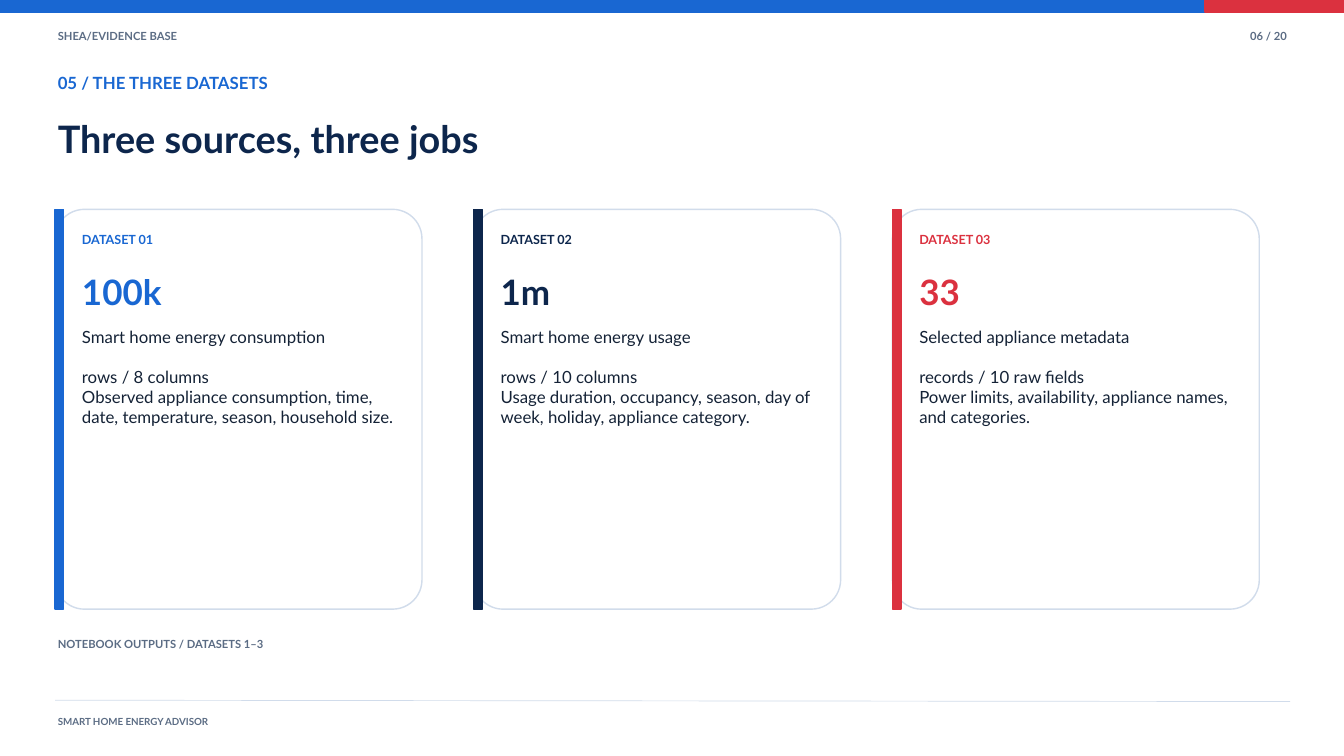
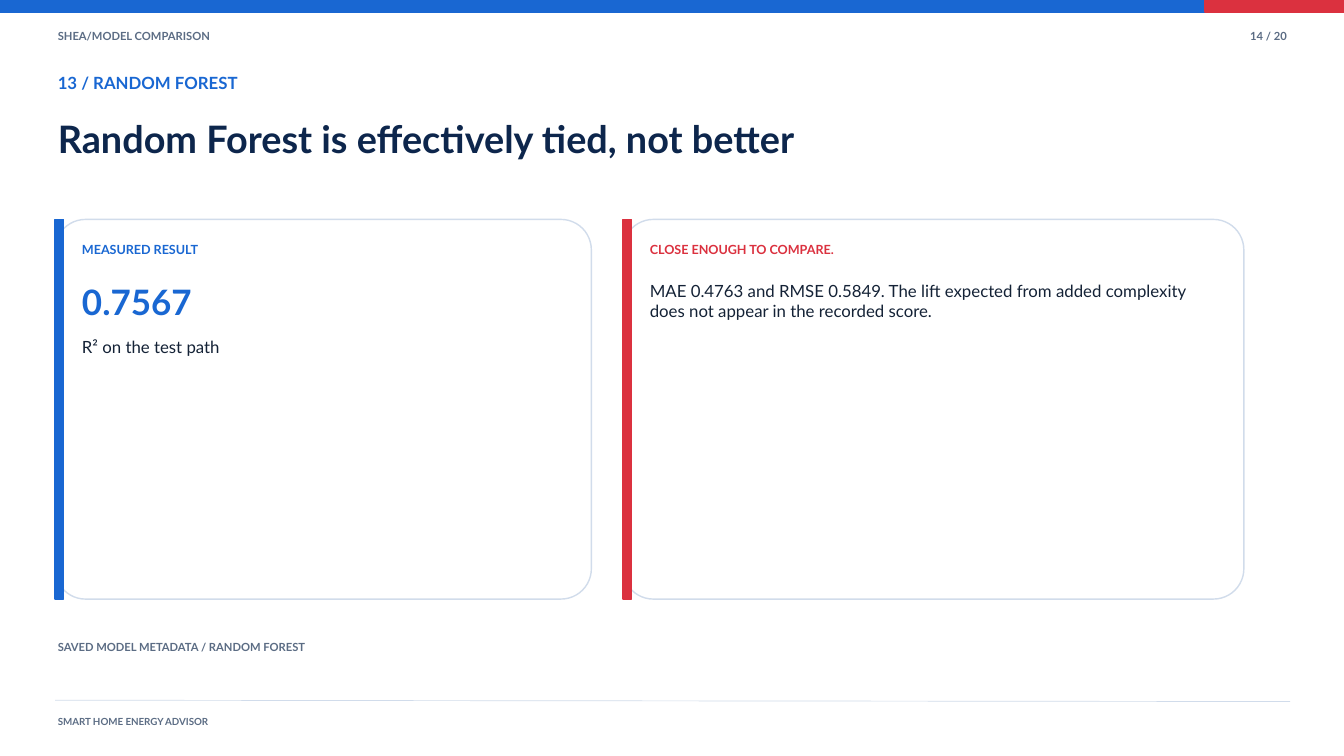
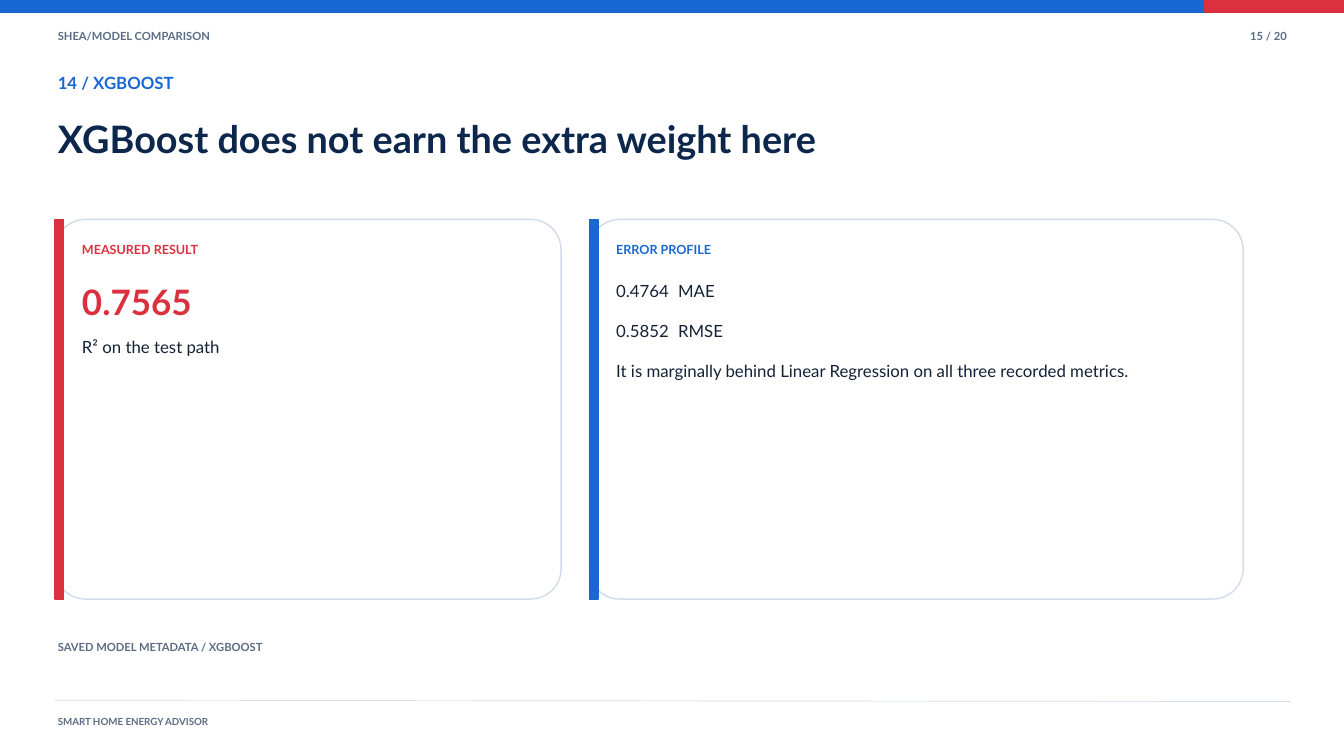
from lxml import etree
from pptx import Presentation
from pptx.dml.color import RGBColor as RGB
from pptx.enum.shapes import MSO_CONNECTOR as CONN, MSO_SHAPE as SHAPE
from pptx.enum.text import MSO_ANCHOR as ANCHOR, MSO_AUTO_SIZE as FIT, PP_ALIGN as ALIGN
from pptx.oxml.ns import qn
from pptx.util import Inches, Pt

FONT = "Lato"
COLORS = {"blue": "1967D2", "red": "DB313F", "navy": "0D264C", "ink": "142236",
          "muted": "5B6C84", "rule": "D1DCEB", "white": "FFFFFF"}
W, H = 20, 11.25
LEFT, TEXT_LEFT = 0.82, 0.86      # edge of cards, edge of text
MIDDLE = 6.09                     # vertical centre of the card row
PAD, STRIPE = 0.4, 0.13           # text inset and accent stripe of a card
TAB = 0.92                        # column of metric names


def write(s, text, x, y, w, h, size, color, bold=True, align=ALIGN.LEFT, gaps=(), sp=None):
    """Set paragraphs, one per line of text; those numbered in gaps have a line of space before."""
    sp = sp or s.shapes.add_textbox(0, 0, 0, 0)
    sp.left, sp.top, sp.width, sp.height = [Inches(v) for v in (x, y, w, h)]
    tf = sp.text_frame
    tf.margin_left = tf.margin_top = tf.margin_right = tf.margin_bottom = 0
    tf.word_wrap, tf.auto_size, tf.vertical_anchor = True, FIT.SHAPE_TO_FIT_TEXT, ANCHOR.TOP
    for i, line in enumerate(text.split("\n")):
        p = tf.add_paragraph() if i else tf.paragraphs[0]
        p.alignment = align
        p.line_spacing = Pt(size * 1.2)
        p.space_before = Pt(size * 1.2 if i in gaps else 0)
        if "\t" in line:
            tabs = etree.SubElement(p._p.get_or_add_pPr(), qn("a:tabLst"))
            etree.SubElement(tabs, qn("a:tab"), pos=str(Inches(TAB)), algn="l")
        r = p.add_run()
        r.text = line
        r.font.name, r.font.size, r.font.bold = FONT, Pt(size), bold
        r.font.color.rgb = RGB.from_string(COLORS[color])


def block(s, kind, x, y, w, h, fill, line):
    sp = s.shapes.add_shape(kind, *[Inches(v) for v in (x, y, w, h)])
    sp.shadow.inherit = False
    sp.fill.solid()
    sp.fill.fore_color.rgb = RGB.from_string(COLORS[fill])
    sp.line.color.rgb = RGB.from_string(COLORS[line])
    sp.line.width = Pt(1.5)
    return sp


# Cards: width, accent, label, big number, body, body lines with a gap above
SLIDES = [
    dict(section="EVIDENCE BASE", page="06", kicker="05 / THE THREE DATASETS",
         title="Three sources, three jobs",
         source="NOTEBOOK OUTPUTS / DATASETS 1–3", source_top=9.49, height=5.95, gutter=0.77,
         cards=[
             (5.46, "blue", "DATASET 01", "100k",
              "Smart home energy consumption\nrows / 8 columns\n"
              "Observed appliance consumption, time, date, temperature, season, household size.", [1]),
             (5.46, "navy", "DATASET 02", "1m",
              "Smart home energy usage\nrows / 10 columns\n"
              "Usage duration, occupancy, season, day of week, holiday, appliance category.", [1]),
             (5.46, "red", "DATASET 03", "33",
              "Selected appliance metadata\nrecords / 10 raw fields\n"
              "Power limits, availability, appliance names, and categories.", [1]),
         ]),
    dict(section="MODEL COMPARISON", page="14", kicker="13 / RANDOM FOREST",
         title="Random Forest is effectively tied, not better",
         source="SAVED MODEL METADATA / RANDOM FOREST", source_top=9.53, height=5.65, gutter=0.47,
         cards=[
             (7.98, "blue", "MEASURED RESULT", "0.7567", "R² on the test path", []),
             (9.24, "red", "CLOSE ENOUGH TO COMPARE.", None,
              "MAE 0.4763 and RMSE 0.5849. The lift expected from added complexity "
              "does not appear in the recorded score.", []),
         ]),
    dict(section="MODEL COMPARISON", page="15", kicker="14 / XGBOOST",
         title="XGBoost does not earn the extra weight here",
         source="SAVED MODEL METADATA / XGBOOST", source_top=9.53, height=5.65, gutter=0.42,
         cards=[
             (7.53, "red", "MEASURED RESULT", "0.7565", "R² on the test path", []),
             (9.73, "blue", "ERROR PROFILE", None,
              "0.4764\tMAE\n0.5852\tRMSE\n"
              "It is marginally behind Linear Regression on all three recorded metrics.", [1, 2]),
         ]),
]

prs = Presentation()
prs.slide_width, prs.slide_height = Inches(W), Inches(H)

for d in SLIDES:
    s = prs.slides.add_slide(prs.slide_layouts[5])

    # Top band and header
    for x, color in ((-0.01, "blue"), (17.93, "red")):
        block(s, SHAPE.RECTANGLE, x, -0.01, W + 0.03 - x, 0.19, color, color)
    write(s, "SHEA/" + d["section"], TEXT_LEFT, 0.44, 11.95, 0.3, 12, "muted")
    write(s, d["page"] + " / 20", 17.71, 0.44, 1.44, 0.3, 12, "muted", align=ALIGN.RIGHT)
    write(s, d["kicker"], TEXT_LEFT, 1.08, 18.03, 0.47, 18, "blue")
    write(s, d["title"], TEXT_LEFT, 1.72, 18.03, 1.16, 40.5, "navy", sp=s.shapes.title)

    # Footer
    rule = s.shapes.add_connector(CONN.STRAIGHT, Inches(LEFT), Inches(10.42),
                                  Inches(19.2), Inches(10.44))
    rule.line.color.rgb = RGB.from_string(COLORS["rule"])
    rule.line.width = Pt(0.75)
    etree.SubElement(rule._element.spPr, qn("a:effectLst"))
    write(s, "SMART HOME ENERGY ADVISOR", TEXT_LEFT, 10.65, 5.94, 0.22, 10.5, "muted")

    # Cards
    x, h = LEFT, d["height"]
    top = MIDDLE - h / 2
    for w, accent, label, number, body, gaps in d["cards"]:
        card = block(s, SHAPE.ROUNDED_RECTANGLE, x, top, w, h, "white", "rule")
        card.adjustments[0] = 0.08
        block(s, SHAPE.RECTANGLE, x, top, STRIPE, h, accent, accent)
        text_x, text_w = x + PAD, w - 0.72
        write(s, label, text_x, top + 0.33, text_w, 0.28, 13.5, accent)
        body_y = 0.91
        if number:
            write(s, number, text_x, top + body_y, text_w, 0.66, 37.5, accent)
            body_y = 1.74
        write(s, body, text_x, top + body_y, text_w, h - body_y - 0.31, 18, "ink",
              bold=False, gaps=gaps)
        x += w + d["gutter"]

    # Source note
    write(s, d["source"], TEXT_LEFT, d["source_top"], 11.95, 0.24, 12, "muted")

prs.save("out.pptx")
